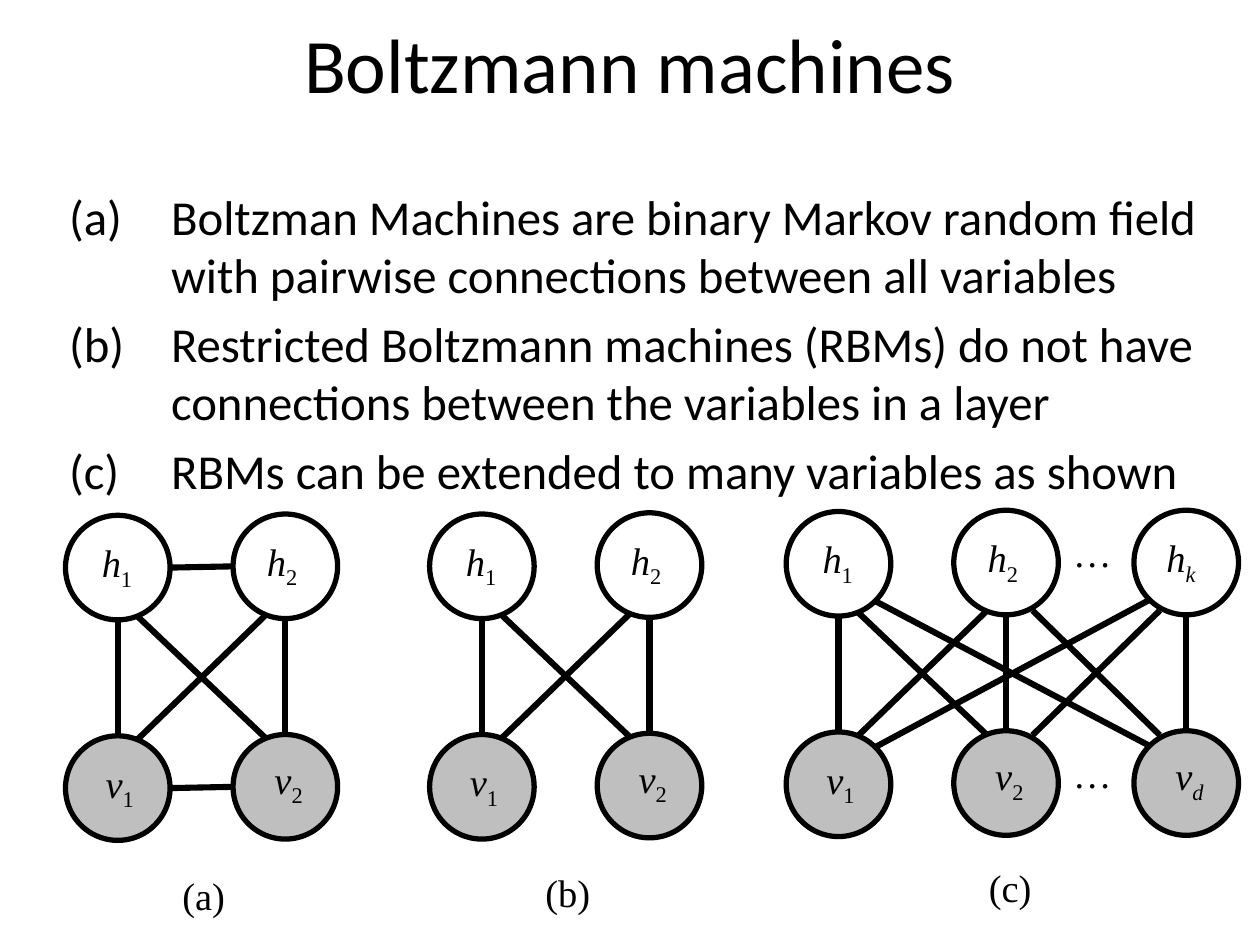
"""Build a slide comparing general and restricted Boltzmann machines."""
from itertools import combinations

from lxml import etree
from pptx import Presentation
from pptx import util as u
from pptx.dml.color import RGBColor
from pptx.enum import shapes, text
from pptx.oxml.ns import qn

COLORS = {"ink": "000000", "visible": "BFBFBF"}
TITLE = "Boltzmann machines"
POINTS = [
    "Boltzman Machines are binary Markov random field with pairwise connections between all variables",
    "Restricted Boltzmann machines (RBMs) do not have connections between the variables in a layer",
    "RBMs can be extended to many variables as shown",
]
MACHINES = [
    {"caption": ("(a)", 1.35, 6.87), "columns": [(0.52, 4.09), (1.85, 4.08)],
     "subscripts": ["11", "22"], "linked_layers": True},
    {"caption": ("(b)", 4.23, 6.85), "columns": [(3.41, 4.08), (4.74, 4.07)],
     "subscripts": ["11", "22"], "linked_layers": False},
    {"caption": ("(c)", 7.75, 6.81), "columns": [(6.24, 4.06), (7.57, 4.05), (9, 4.05)],
     "subscripts": ["11", "22", "kd"], "linked_layers": False},
]
DOTS = [(8.44, 4.15), (8.44, 5.9)]

NODE = 0.83
RADIUS = NODE / 2
LAYER_GAP = 1.75
HIDDEN_LABELS = [(0.19, 0.14), (0.17, 0.14), (0.16, 0.14)]
VISIBLE_LABELS = [(0.22, 0.14), (0.23, 0.12), (0.23, 0.12)]
REACH = {(0, 1): (0.16, 0.39), (1, 2): (0.21, 0.38), (0, 2): (0.3, 0.3)}

deck = Presentation()
deck.slide_width, deck.slide_height = u.Inches(10), u.Inches(7.5)
page = deck.slides.add_slide(deck.slide_layouts[6])


def color(name):
    return RGBColor.from_string(COLORS[name])


def style(font, size, name, italic=None):
    font.size, font.name, font.italic = u.Pt(size), name, italic
    font.color.rgb = color("ink")


def add_box(left, top, width, height, wrap=True):
    box = page.shapes.add_textbox(*map(u.Inches, (left, top, width, height)))
    box.text_frame.word_wrap = wrap
    return box.text_frame


def add_label(left, top, base, subscript="", italic=True, width=0.5):
    frame = add_box(left, top, width, 0.47, wrap=False)
    frame.auto_size = text.MSO_AUTO_SIZE.SHAPE_TO_FIT_TEXT
    para = frame.paragraphs[0]
    span = para.add_run()
    span.text = base
    style(span.font, 22, "Times New Roman", italic)
    if subscript:
        span = para.add_run()
        span.text = subscript
        style(span.font, 22, "Times New Roman", subscript.isalpha())
        span.font._element.set("baseline", "-25000")


def add_node(left, top, fill=None):
    node = page.shapes.add_shape(shapes.MSO_SHAPE.OVAL, *map(u.Inches, (left, top, NODE, NODE)))
    node.shadow.inherit = False
    if fill:
        node.fill.solid()
        node.fill.fore_color.rgb = color(fill)
    else:
        node.fill.background()
    node.line.color.rgb = color("ink")
    node.line.width = u.Pt(3)


def add_edge(*ends):
    edge = page.shapes.add_connector(shapes.MSO_CONNECTOR.STRAIGHT, *map(u.Inches, ends))
    edge.line.color.rgb = color("ink")
    edge.line.width = u.Pt(3.5)
    etree.SubElement(edge._element.spPr, qn("a:effectLst"))


def add_machine(machine):
    columns = machine["columns"]
    for (left, top), subscripts, hidden, visible in zip(
            columns, machine["subscripts"], HIDDEN_LABELS, VISIBLE_LABELS):
        low = top + LAYER_GAP
        add_node(left, top)
        add_node(left, low, "visible")
        add_edge(left + RADIUS, low, left + RADIUS, top + NODE)
        add_label(left + hidden[0], top + hidden[1], "h", subscripts[0])
        add_label(left + visible[0], low + visible[1], "v", subscripts[1], width=0.48)
    centers = [(left + RADIUS, top + RADIUS) for left, top in columns]
    for first, second in combinations(range(len(columns)), 2):
        (x1, y1), (x2, y2) = centers[first], centers[second]
        dx, dy = REACH[first, second]
        add_edge(x1 + dx, y1 + LAYER_GAP - dy, x2 - dx, y2 + dy)
        add_edge(x2 - dx, y2 + LAYER_GAP - dy, x1 + dx, y1 + dy)
        if machine["linked_layers"]:
            for shift in (0, LAYER_GAP):
                add_edge(x2 - RADIUS, y2 + shift, x1 + RADIUS, y1 + shift)
    caption, left, top = machine["caption"]
    add_label(left, top, caption, italic=False, width=0.6)


for machine in MACHINES:
    add_machine(machine)
for left, top in DOTS:
    add_label(left, top, "…")

title = add_box(0.5, 0.08, 9, 1.25).paragraphs[0]
title.text = TITLE
title.alignment = text.PP_ALIGN.CENTER
style(title.runs[0].font, 44, "Calibri")

body = add_box(0.45, 1.43, 9.24, 2.94)
for index, point in enumerate(POINTS):
    para = body.add_paragraph() if index else body.paragraphs[0]
    para.text = point
    if index:
        para.space_before = u.Pt(5.6)
    properties = para._p.get_or_add_pPr()
    properties.set("marL", str(u.Inches(0.81)))
    properties.set("indent", str(u.Inches(-0.81)))
    etree.SubElement(properties, qn("a:buFont"), typeface="+mj-lt")
    etree.SubElement(properties, qn("a:buAutoNum"), type="alphaLcParenBoth")
    style(para.runs[0].font, 27.9, "Calibri")

deck.save("out.pptx")
